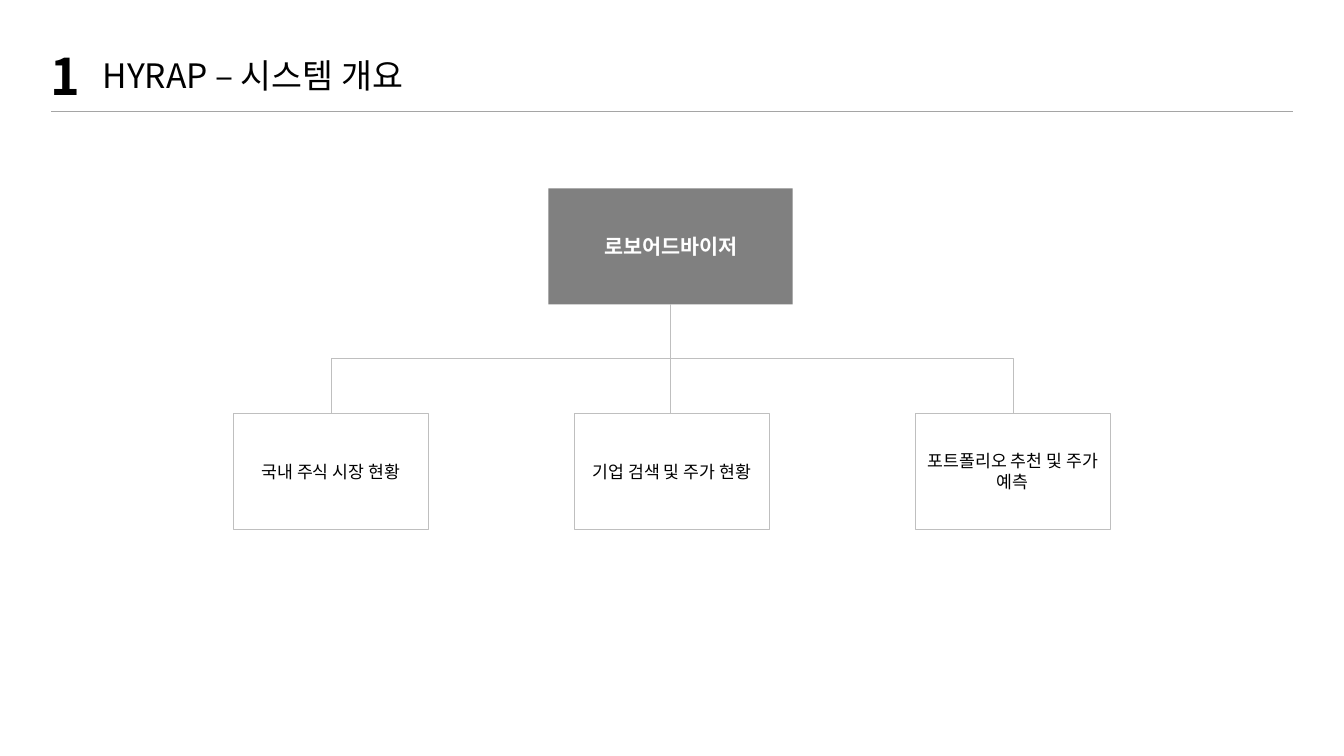
"""Build the system overview slide with its three-branch organisation chart."""
from dataclasses import dataclass

from lxml.etree import SubElement
from pptx import Presentation
from pptx.dml.color import RGBColor
from pptx.enum.shapes import MSO_CONNECTOR as Connector, MSO_SHAPE as Preset
from pptx.enum.text import MSO_ANCHOR as Anchor, PP_ALIGN as Align
from pptx.oxml.ns import qn
from pptx.util import Pt

FONT = "Noto Sans CJK KR"
COLORS = {
    "black": "000000",
    "white": "FFFFFF",
    "root": "808080",
    "branch": "BFBFBF",
    "rule": "A5A5A5",
}
BOX_HEIGHT = 82.8
CHILD_LEFT, CHILD_TOP, CHILD_WIDTH, CHILD_PITCH = 166.5, 295.2, 139.7, 243.6
CHILD_LABELS = ["국내 주식 시장 현황", "기업 검색 및 주가 현황", "포트폴리오 추천 및 주가 예측"]


@dataclass
class Box:
    """A rectangle of the chart."""
    label: str
    left: float
    top: float
    width: float
    height: float = BOX_HEIGHT

    @property
    def center(self) -> float:
        return self.left + self.width / 2


@dataclass
class Heading:
    """A text of the slide header."""
    text: str
    left: float
    top: float
    width: float
    height: float
    size: float
    bold: bool = False


def color(name: str) -> RGBColor:
    return RGBColor.from_string(COLORS[name])


def write(frame, text: str, *, size: float, ink: str = "black",
          bold: bool = False, align: Align = Align.LEFT) -> None:
    frame.word_wrap = True
    paragraph = frame.paragraphs[0]
    paragraph.alignment = align
    run = paragraph.add_run()
    run.text = text
    run.font.size = Pt(size)
    run.font.bold = bold
    run.font.color.rgb = color(ink)
    run.font.name = FONT
    SubElement(run.font._element, qn("a:ea"), typeface=FONT)


def draw_heading(slide, heading: Heading) -> None:
    shape = slide.shapes.add_textbox(Pt(heading.left), Pt(heading.top),
                                     Pt(heading.width), Pt(heading.height))
    write(shape.text_frame, heading.text, size=heading.size, bold=heading.bold)


def draw_box(slide, box: Box, *, fill: str, outline: str | None = None,
             margins: tuple[float, float] = (7.2, 3.6), **text_format) -> None:
    shape = slide.shapes.add_shape(Preset.RECTANGLE, Pt(box.left), Pt(box.top),
                                   Pt(box.width), Pt(box.height))
    shape.shadow.inherit = False
    shape.fill.solid()
    shape.fill.fore_color.rgb = color(fill)
    if outline:
        shape.line.color.rgb = color(outline)
        shape.line.width = Pt(0.25)
    else:
        shape.line.fill.background()
    frame = shape.text_frame
    frame.vertical_anchor = Anchor.MIDDLE
    frame.margin_left = frame.margin_right = Pt(margins[0])
    frame.margin_top = frame.margin_bottom = Pt(margins[1])
    write(frame, box.label, align=Align.CENTER, **text_format)


def draw_line(slide, start: tuple[float, float], end: tuple[float, float], *,
              ink: str, kind: Connector = Connector.STRAIGHT):
    connector = slide.shapes.add_connector(kind, Pt(start[0]), Pt(start[1]),
                                           Pt(end[0]), Pt(end[1]))
    connector.line.color.rgb = color(ink)
    connector.line.width = Pt(0.5)
    SubElement(connector._element.spPr, qn("a:effectLst"))
    return connector


def draw_branch(slide, root: Box, child: Box) -> None:
    top, bottom = root.top + root.height, child.top
    shift = child.center - root.center
    if abs(shift) < 1:
        draw_line(slide, (root.center, top), (root.center, bottom), ink="branch")
        return
    middle_x, middle_y = root.center + shift / 2, (top + bottom) / 2
    side = 1 if shift < 0 else -1
    half_run, half_drop = abs(shift) / 2, side * (bottom - top) / 2
    connector = draw_line(slide, (middle_x - half_drop, middle_y - half_run),
                          (middle_x + half_drop, middle_y + half_run),
                          ink="branch", kind=Connector.ELBOW)
    quarter_turn = 90 * 60000
    connector._element.spPr.xfrm.set("rot", str(quarter_turn * (1 if side > 0 else 3)))


def main() -> None:
    presentation = Presentation()
    presentation.slide_width, presentation.slide_height = Pt(960), Pt(540)
    slide = presentation.slides.add_slide(presentation.slide_layouts[6])

    root = Box("로보어드바이저", 391.8, 134.6, 174.4)
    children = [Box(label, CHILD_LEFT + index * CHILD_PITCH, CHILD_TOP, CHILD_WIDTH)
                for index, label in enumerate(CHILD_LABELS)]
    draw_box(slide, root, fill="root", margins=(10, 5), size=14.8, ink="white", bold=True)
    for child in children:
        draw_box(slide, child, fill="white", outline="branch", size=12.3)
        draw_branch(slide, root, child)

    for heading in (Heading("1", 28.8, 28.8, 52.6, 51, 36, bold=True),
                    Heading("HYRAP – 시스템 개요", 66.2, 36, 332.6, 36, 24)):
        draw_heading(slide, heading)
    draw_line(slide, (36.7, 79.4), (923.8, 79.4), ink="rule")
    presentation.save("out.pptx")


if __name__ == "__main__":
    main()
